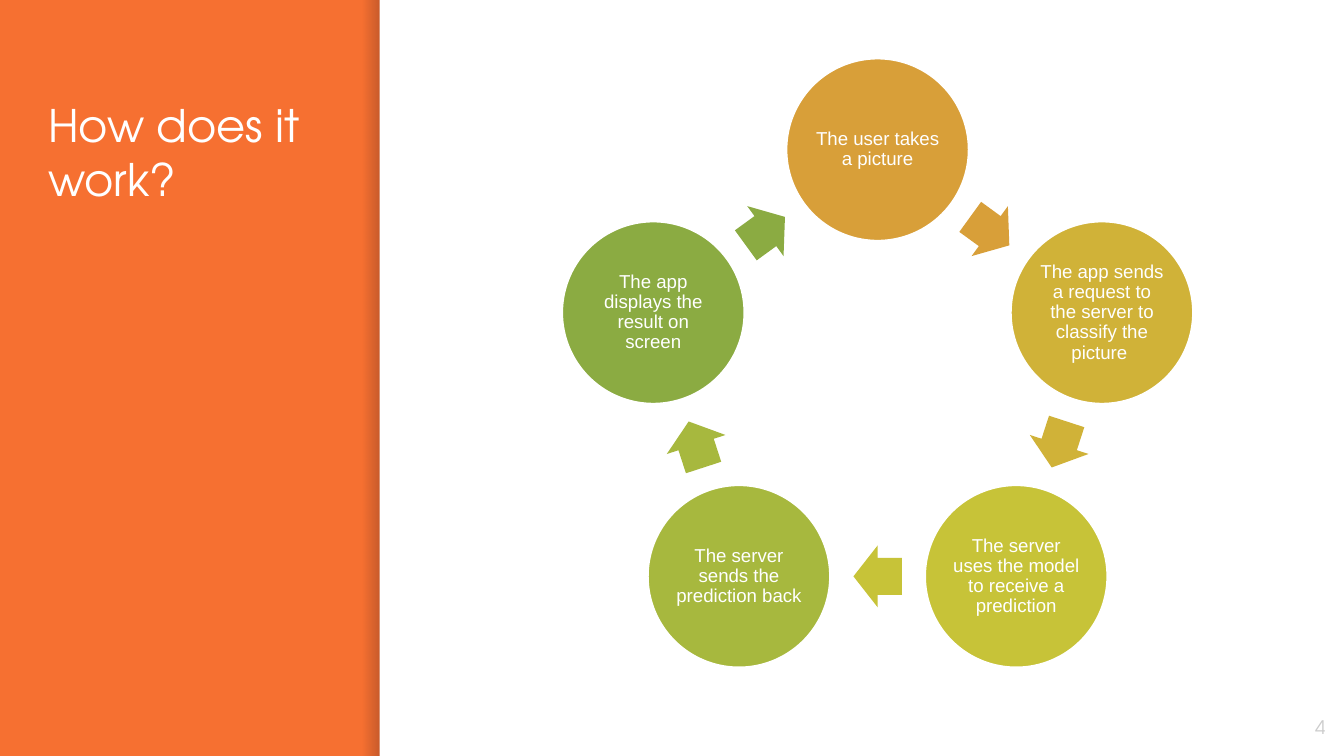
from dataclasses import dataclass
from math import cos, pi, radians, sin

from lxml.etree import SubElement
from pptx import Presentation
from pptx.dml.color import RGBColor
from pptx.enum.shapes import MSO_SHAPE
from pptx.enum.text import MSO_ANCHOR, PP_ALIGN
from pptx.oxml.ns import qn
from pptx.util import Inches, Pt

W, H = Inches(10), Inches(5.625)
WHITE = RGBColor(0xFF, 0xFF, 0xFF)
ORANGE = RGBColor(0xF6, 0x70, 0x31)
GREY = RGBColor(0xCC, 0xCC, 0xCC)
SHADE = RGBColor(0x00, 0x00, 0x14)
HEADING, BODY = "TeX Gyre Adventor", "Arial"


@dataclass(frozen=True)
class Box:
    """Position and size in percent of the slide's width and height."""
    x: float
    y: float
    w: float
    h: float

    def emu(self) -> tuple[int, ...]:
        return tuple(int(v * side / 100) for v, side in
                     zip((self.x, self.y, self.w, self.h), (W, H, W, H)))


@dataclass(frozen=True)
class Step:
    """One stage of the cycle."""
    text: str
    color: RGBColor


@dataclass(frozen=True)
class Ring:
    """Cycle geometry in shares of the slide's width, with a centre in both."""
    cx: float = 0.653
    cy: float = 0.51
    radius: float = 0.1755
    circle: float = 0.137
    arrow_w: float = 0.036
    arrow_h: float = 0.046

    def place(self, angle: float, radius: float, w: float, h: float) -> tuple[int, ...]:
        """Return the frame centred at a clockwise angle from the top."""
        x = W * (self.cx + radius * sin(radians(angle)) - w / 2)
        y = H * self.cy - W * (radius * cos(radians(angle)) + h / 2)
        return int(x), int(y), int(W * w), int(W * h)


STEPS = (
    Step("The user takes a picture", RGBColor(0xD8, 0x9F, 0x39)),
    Step("The app sends a request to the server to classify the picture ",
         RGBColor(0xD0, 0xB2, 0x38)),
    Step("The server uses the model to receive a prediction", RGBColor(0xC7, 0xC3, 0x38)),
    Step("The server sends the prediction back", RGBColor(0xA7, 0xB8, 0x3E)),
    Step("The app displays the result on screen", RGBColor(0x8B, 0xAB, 0x42)),
)


def write(sp, text: str, font: str, size: float, color: RGBColor, align=PP_ALIGN.LEFT,
          anchor=MSO_ANCHOR.MIDDLE, inset: float = 0.1, spacing: float = 1.0) -> None:
    """Fill a shape with one formatted paragraph."""
    tf = sp.text_frame
    margins = dict.fromkeys(
        ("margin_left", "margin_right", "margin_top", "margin_bottom"), Inches(inset))
    for name, value in {"word_wrap": True, "vertical_anchor": anchor, **margins}.items():
        setattr(tf, name, value)
    p = tf.paragraphs[0]
    p.alignment, p.line_spacing = align, spacing
    r = p.add_run()
    r.text = text
    for name, value in {"name": font, "size": Pt(size)}.items():
        setattr(r.font, name, value)
    r.font.color.rgb = color


def add_shape(s, kind: MSO_SHAPE, frame: tuple[int, ...], color: RGBColor):
    """Add a flat filled shape without an outline."""
    sp = s.shapes.add_shape(kind, *frame)
    sp.shadow.inherit = False
    sp.fill.solid()
    sp.fill.fore_color.rgb = color
    sp.line.fill.background()
    return sp


def add_edge_shade(s, box: Box) -> None:
    """Add a strip that darkens toward its right edge."""
    sp = add_shape(s, MSO_SHAPE.RECTANGLE, box.emu(), SHADE)
    sp.fill.gradient()
    sp.fill.gradient_angle = 0
    for stop, alpha in zip(sp.fill.gradient_stops, (0, 20)):
        stop.color.rgb = SHADE
    for clr, alpha in zip(sp.element.spPr.iter(qn("a:srgbClr")), (0, 20)):
        SubElement(clr, qn("a:alpha")).set("val", str(alpha * 1000))


def add_cycle(s, ring: Ring, steps: tuple[Step, ...]) -> None:
    """Draw the steps around the ring, each followed by an arrow to the next."""
    turn = 360 / len(steps)
    for i, step in enumerate(steps):
        sp = add_shape(s, MSO_SHAPE.OVAL,
                       ring.place(i * turn, ring.radius, ring.circle, ring.circle), step.color)
        sp.line.color.rgb, sp.line.width = WHITE, Pt(2)
        write(sp, step.text, BODY, 10, WHITE, PP_ALIGN.CENTER, inset=0.01, spacing=0.9)
        middle = (i + 0.5) * turn
        arrow = add_shape(s, MSO_SHAPE.RIGHT_ARROW,
                          ring.place(middle, ring.radius * cos(pi / len(steps)),
                                     ring.arrow_w, ring.arrow_h), step.color)
        arrow.rotation = middle
        arrow.adjustments[0], arrow.adjustments[1] = 0.6, 0.5


def main() -> None:
    """Build the slide and save it."""
    prs = Presentation()
    prs.slide_width, prs.slide_height = W, H
    s = prs.slides.add_slide(prs.slide_layouts[6])
    s.background.fill.solid()
    s.background.fill.fore_color.rgb = ORANGE
    add_edge_shade(s, Box(27, 0, 1.25, 100))
    add_shape(s, MSO_SHAPE.RECTANGLE, Box(28.25, 0, 71.75, 100).emu(), WHITE)
    title = s.shapes.add_textbox(*Box(2.6, 11.2, 22.4, 77.3).emu())
    write(title, "How does it work?", HEADING, 24, WHITE, anchor=MSO_ANCHOR.TOP)
    number = s.shapes.add_textbox(*Box(93.6, 92.3, 6, 7.65).emu())
    write(number, "4", HEADING, 10, GREY, PP_ALIGN.RIGHT)
    add_cycle(s, Ring(), STEPS)
    prs.save("out.pptx")


if __name__ == "__main__":
    main()
